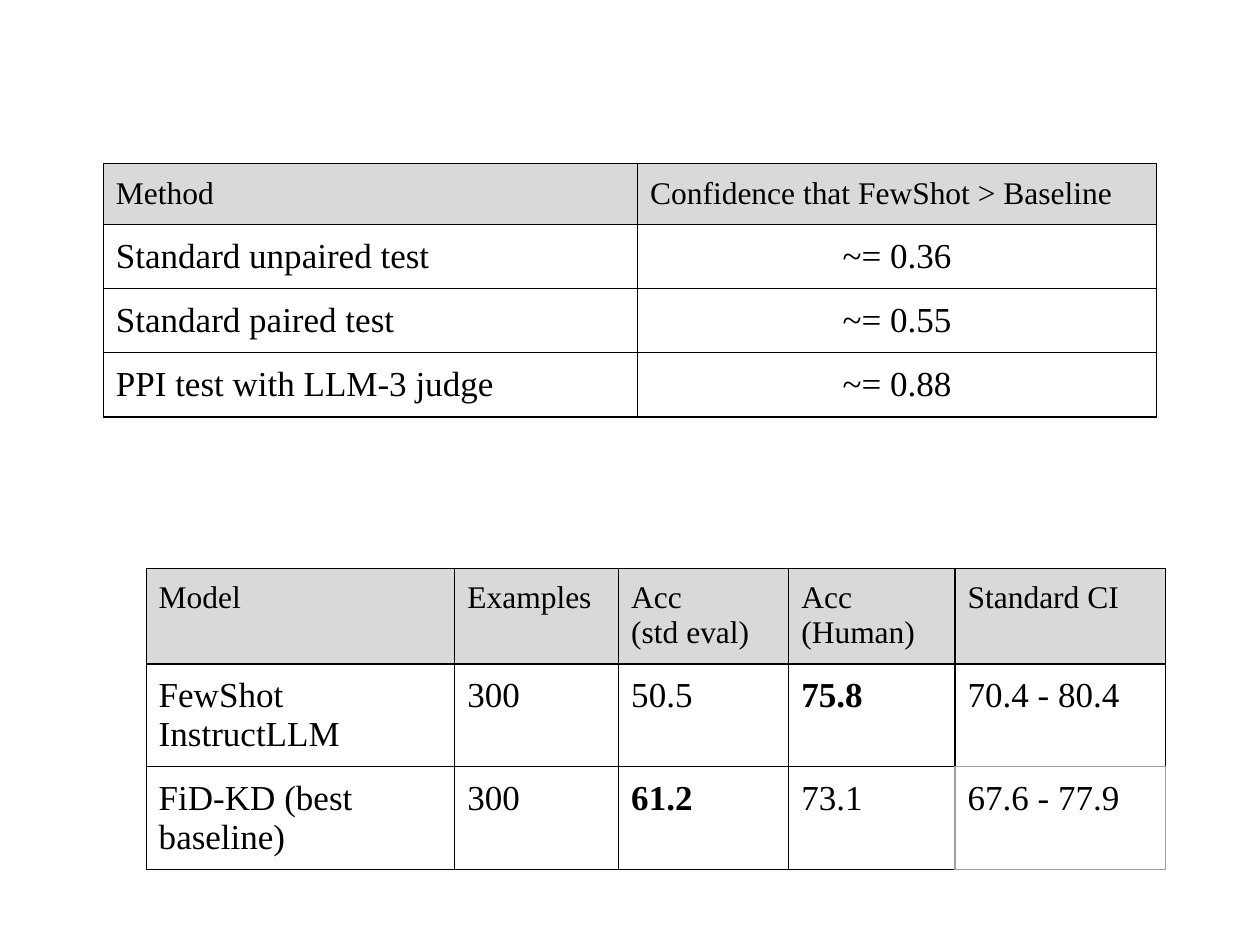
from dataclasses import dataclass

from lxml import etree
from pptx import Presentation
from pptx.dml.color import RGBColor
from pptx.enum.text import PP_ALIGN
from pptx.oxml.ns import qn
from pptx.util import Inches, Pt

LEFT, CENTER = PP_ALIGN.LEFT, PP_ALIGN.CENTER
SIDES = ("a:lnL", "a:lnR", "a:lnT", "a:lnB")


@dataclass(frozen=True)
class Theme:
    font: str = "Times New Roman"
    header_size: int = 18
    body_size: int = 20
    text: str = "000000"
    header_fill: str = "D9D9D9"
    border: str = "000000"
    soft_border: str = "9E9E9E"
    border_width: float = 0.75
    margin: float = 0.1


THEME = Theme()


def set_borders(cell, color, sides=SIDES):
    """Draw the given sides; must run before the cell's fill is set."""
    tc_pr = cell._tc.get_or_add_tcPr()
    for side in sides:
        line = tc_pr.find(qn(side))
        if line is None:
            line = etree.SubElement(tc_pr, qn(side), w=str(Pt(THEME.border_width)))
            fill = etree.SubElement(line, qn("a:solidFill"))
            etree.SubElement(fill, qn("a:srgbClr"))
        line.find(".//" + qn("a:srgbClr")).set("val", color)


def fill_cell(cell, text, header, align, bold):
    margin = Inches(THEME.margin)
    cell.margin_left = cell.margin_right = margin
    cell.margin_top = cell.margin_bottom = margin
    set_borders(cell, THEME.border)
    if header:
        cell.fill.solid()
        cell.fill.fore_color.rgb = RGBColor.from_string(THEME.header_fill)
    else:
        cell.fill.background()
    tf = cell.text_frame
    tf.text = text
    for p in tf.paragraphs:
        p.alignment = align
        p.font.name = THEME.font
        p.font.size = Pt(THEME.header_size if header else THEME.body_size)
        p.font.bold = bold
        p.font.color.rgb = RGBColor.from_string(THEME.text)


def add_grid(slide, left, top, widths, heights, rows, aligns, bold_cells=()):
    """Add a table whose first row is the shaded header."""
    table = slide.shapes.add_table(
        len(rows), len(widths), Inches(left), Inches(top),
        Inches(sum(widths)), Inches(sum(heights))).table
    table.first_row = table.horz_banding = False
    for column, width in zip(table.columns, widths):
        column.width = Inches(width)
    for row, height in zip(table.rows, heights):
        row.height = Inches(height)
    for r, texts in enumerate(rows):
        for c, text in enumerate(texts):
            fill_cell(table.cell(r, c), text, r == 0,
                      LEFT if r == 0 else aligns[c], (r, c) in bold_cells)
    return table


def add_model_table(slide, left, top):
    rows = [
        ("Model", "Examples", "Acc\n(std eval)", "Acc\n(Human)", "Standard CI"),
        ("FewShot InstructLLM", "300", "50.5", "75.8", "70.4 - 80.4"),
        ("FiD-KD (best baseline)", "300", "61.2", "73.1", "67.6 - 77.9"),
    ]
    table = add_grid(slide, left, top, (2.45, 1.3, 1.35, 1.32, 1.67),
                     (0.76, 0.81, 0.81), rows, [LEFT] * 5,
                     bold_cells={(1, 3), (2, 2)})
    set_borders(table.cell(2, 4), THEME.soft_border)
    set_borders(table.cell(1, 4), THEME.soft_border, ["a:lnB"])
    set_borders(table.cell(2, 3), THEME.soft_border, ["a:lnR"])


def add_confidence_table(slide, left, top):
    rows = [
        ("Method", "Confidence that FewShot > Baseline"),
        ("Standard unpaired test", "~= 0.36"),
        ("Standard paired test", "~= 0.55"),
        ("PPI test with LLM-3 judge", "~= 0.88"),
    ]
    add_grid(slide, left, top, (4.24, 4.12), (0.48, 0.51, 0.51, 0.51),
             rows, (LEFT, CENTER))


def main():
    prs = Presentation()
    prs.slide_width, prs.slide_height = Inches(10), Inches(7.5)
    slide = prs.slides.add_slide(prs.slide_layouts[6])
    add_model_table(slide, 1.16, 4.51)
    add_confidence_table(slide, 0.82, 1.3)
    prs.save("out.pptx")


if __name__ == "__main__":
    main()
